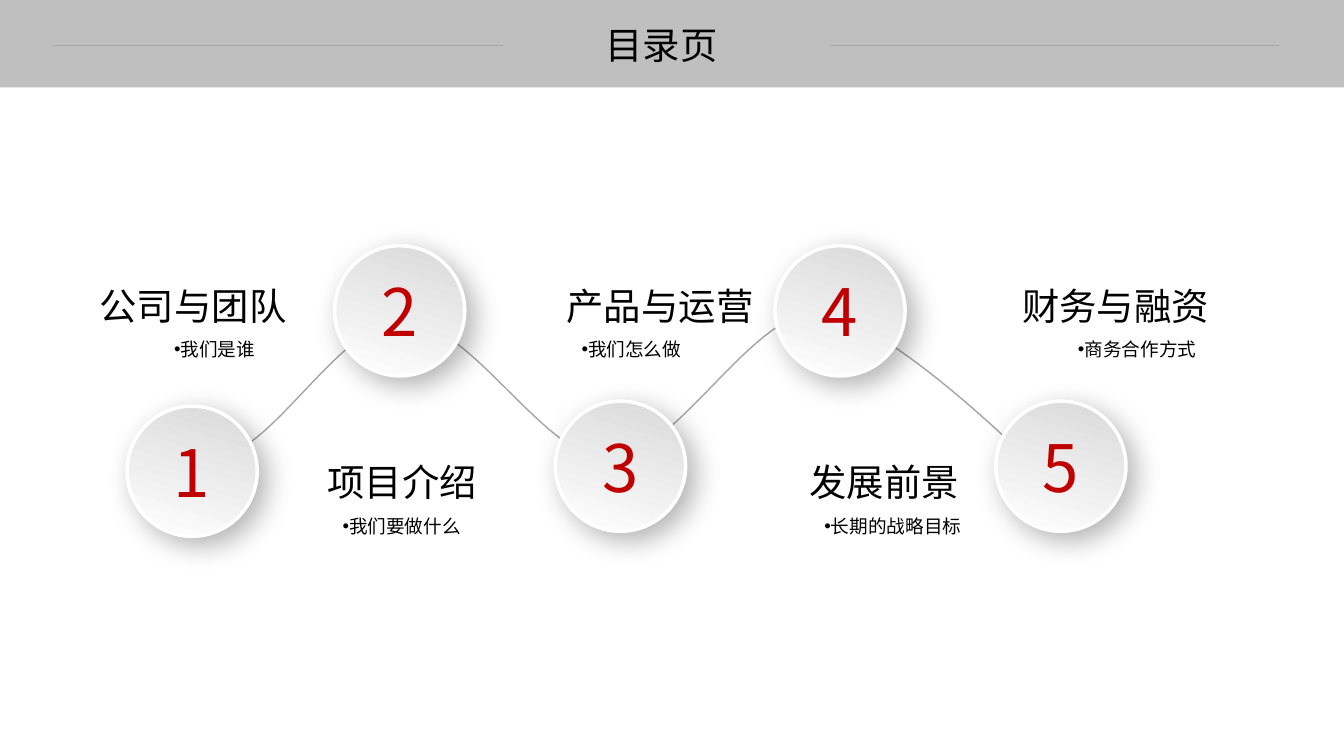
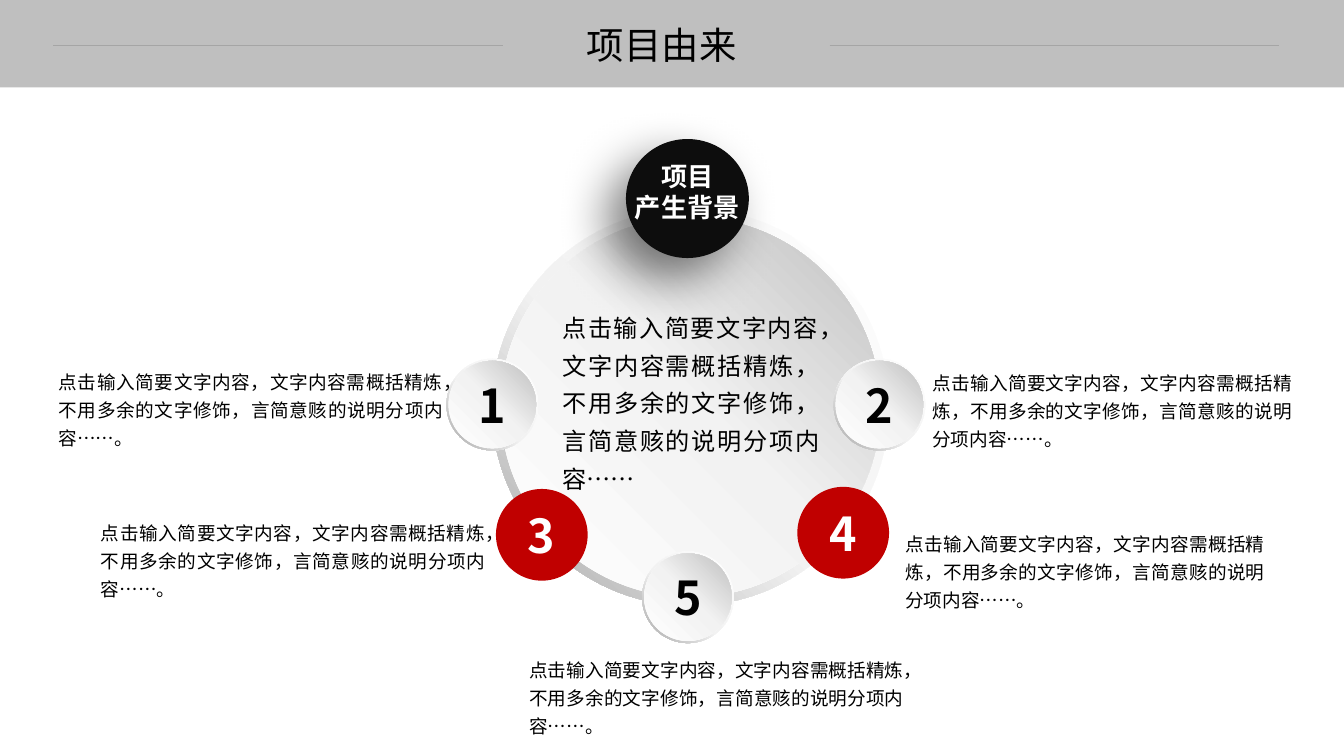
from dataclasses import dataclass
from typing import Any, Optional

from lxml.etree import SubElement
from pptx import Presentation
from pptx.dml.color import RGBColor
from pptx.enum.shapes import MSO_CONNECTOR, MSO_SHAPE
from pptx.enum.text import MSO_ANCHOR, PP_ALIGN
from pptx.oxml.ns import qn
from pptx.util import Pt

FONT = "Noto Sans CJK SC"
BLACK, WHITE, RED, GREY, BAND, INK = "000000", "FFFFFF", "C00000", "A5A5A5", "BFBFBF", "0D0D0D"
SLIDE_W, SLIDE_H, BAND_H = 960, 540, 62.5
RULE_Y, RULE_W = 32.4, 321
TITLE_SIZE, BODY_SIZE = 26.7, 13.3


@dataclass(frozen=True)
class Gradient:
    stops: tuple[tuple[int, str], ...]
    angle: float  # clockwise degrees


@dataclass(frozen=True)
class Shadow:
    opacity: int
    blur: float
    dist: float
    angle: int


@dataclass(frozen=True)
class DiscStyle:
    rim: Gradient | str
    face: Gradient | str
    text: str


@dataclass(frozen=True)
class Chapter:
    number: str
    cx: float
    cy: float
    x: float
    y: float
    heading: str
    detail: str
    align: PP_ALIGN


@dataclass(frozen=True)
class Disc:
    number: str
    cx: float
    cy: float
    style: DiscStyle


KNOB = Gradient(((0, "D9D9D9"), (100, WHITE)), 107)
KNOB_SHADOW = Shadow(30, 20, 8, 45)
BADGE_SHADOW = Shadow(50, 35, 20, 135)
SILVER = DiscStyle(Gradient(((0, WHITE), (55, "F2F2F2"), (100, "A6A6A6")), 135),
                   Gradient(((0, WHITE), (51, "F2F2F2"), (100, "BFBFBF")), 315), BLACK)
CRIMSON = DiscStyle(RED, RED, WHITE)

KNOB_D = 93
CHAPTERS = (
    Chapter("1", 137.2, 336.6, 64, 198, "公司与团队", "我们是谁", PP_ALIGN.CENTER),
    Chapter("2", 285.5, 222, 226.8, 324, "项目介绍", "我们要做什么", PP_ALIGN.LEFT),
    Chapter("3", 443.2, 333, 397.5, 198, "产品与运营", "我们怎么做", PP_ALIGN.LEFT),
    Chapter("4", 600, 222, 571, 324, "发展前景", "长期的战略目标", PP_ALIGN.LEFT),
    Chapter("5", 757.8, 333, 723, 198, "财务与融资", "商务合作方式", PP_ALIGN.CENTER),
)
# Cubic curves: start, then two handles and an end for each arc
WAVE_START = (150.5, 327.6)
WAVE = (
    ((193.7, 327.6), (241.9, 229), (288.7, 229)),
    ((336.2, 229), (388.8, 327.6), (434.9, 328.3)),
    ((482.4, 326.2), (535.7, 224.6), (582.5, 223.2)),
    ((627.8, 223.2), (727.2, 321.8), (727.2, 321.1)),
)
WAVE_STEPS = 24

DISC_D, DISC_FACE = 65.5, 62.6
DISCS = (
    Disc("1", 351.7, 289, SILVER),
    Disc("2", 628.2, 289, SILVER),
    Disc("3", 387, 382, CRIMSON),
    Disc("4", 602.3, 380.5, CRIMSON),
    Disc("5", 491.4, 426.6, SILVER),
)
SUMMARY = "点击输入简要文字内容，文字内容需概括精炼，不用多余的文字修饰，言简意赅的说明分项内容……"
NOTES = ((41.8, 260.6, 275), (666, 261.4, 257), (72, 368.6, 275),
         (646.6, 376.6, 257), (378, 466.6, 267.8))  # left, top, width


def rgb(color: str) -> RGBColor:
    return RGBColor.from_string(color)


def paint(sp: Any, fill: Gradient | str) -> None:
    if isinstance(fill, str):
        sp.fill.solid()
        sp.fill.fore_color.rgb = rgb(fill)
        return
    sp.fill.gradient()
    sp.fill.gradient_angle = (360 - fill.angle) % 360
    stops = next(sp._element.spPr.iter(qn("a:gsLst")))
    for old in list(stops):
        stops.remove(old)
    for pos, color in fill.stops:
        gs = SubElement(stops, qn("a:gs"), pos=str(pos * 1000))
        SubElement(gs, qn("a:srgbClr"), val=color)


def add_shadow(sp: Any, shadow: Shadow) -> None:
    effects = sp._element.spPr.find(qn("a:effectLst"))
    outer = SubElement(effects, qn("a:outerShdw"), blurRad=str(Pt(shadow.blur)),
                       dist=str(Pt(shadow.dist)), dir=str(shadow.angle * 60000),
                       algn="ctr", rotWithShape="0")
    color = SubElement(outer, qn("a:srgbClr"), val=BLACK)
    SubElement(color, qn("a:alpha"), val=str(shadow.opacity * 1000))


def add_round(s: Any, kind: MSO_SHAPE, cx: float, cy: float, w: float, h: float,
              fill: Gradient | str) -> Any:
    sp = s.shapes.add_shape(kind, Pt(cx - w / 2), Pt(cy - h / 2), Pt(w), Pt(h))
    sp.shadow.inherit = False
    sp.line.fill.background()
    paint(sp, fill)
    return sp


def write(sp: Any, lines: tuple[str, ...], size: float, color: str = BLACK, bold: bool = False,
          align: PP_ALIGN = PP_ALIGN.CENTER, spacing: Any = None, inset: Optional[float] = None,
          anchor: MSO_ANCHOR = MSO_ANCHOR.MIDDLE, wrap: bool = True, bullet: bool = False) -> None:
    tf = sp.text_frame
    tf.word_wrap, tf.vertical_anchor = wrap, anchor
    if inset is not None:
        tf.margin_left = tf.margin_right = tf.margin_top = tf.margin_bottom = Pt(inset)
    for i, line in enumerate(lines):
        p = tf.add_paragraph() if i else tf.paragraphs[0]
        p.alignment = align
        if spacing is not None:
            p.line_spacing = spacing
        if bullet:
            pPr = p._p.get_or_add_pPr()
            pPr.set("marL", "0")
            pPr.set("indent", "0")
            SubElement(pPr, qn("a:buFont"), typeface="Arial")
            SubElement(pPr, qn("a:buChar"), char="•")
        r = p.add_run()
        r.text = line
        r.font.size, r.font.bold = Pt(size), bold
        r.font.color.rgb = rgb(color)
        r.font.name = FONT
        SubElement(r._r.get_or_add_rPr(), qn("a:ea"), typeface=FONT)


def add_text(s: Any, x: float, y: float, w: float, h: float, text: str, size: float,
             **style: Any) -> None:
    sp = s.shapes.add_textbox(Pt(x), Pt(y), Pt(w), Pt(h))
    write(sp, (text,), size, **style)


def dress_layout(layout: Any, s: Any) -> None:
    """Give the layout the title band and the two rules beside the title."""
    for ph in list(layout.placeholders):
        if ph.placeholder_format.idx != 0:
            ph.element.getparent().remove(ph.element)
    band = s.shapes.add_shape(MSO_SHAPE.RECTANGLE, 0, 0, Pt(SLIDE_W), Pt(BAND_H))
    band.shadow.inherit = False
    band.line.fill.background()
    paint(band, BAND)
    parts = [band]
    for x in (38.2, 592.6):
        rule = s.shapes.add_connector(MSO_CONNECTOR.STRAIGHT, Pt(x), Pt(RULE_Y),
                                      Pt(x + RULE_W), Pt(RULE_Y))
        rule.line.color.rgb, rule.line.width = rgb(GREY), Pt(0.75)
        SubElement(rule._element.spPr, qn("a:effectLst"))
        parts.append(rule)
    for i, part in enumerate(parts):
        layout.shapes.element.insert(2 + i, part.element)


def add_slide(prs: Any, layout: Any, title: str) -> Any:
    s = prs.slides.add_slide(layout)
    sp = s.shapes.title
    sp.left, sp.top, sp.width, sp.height = Pt(389.5), Pt(11.5), Pt(166.3), Pt(40)
    write(sp, (title,), TITLE_SIZE)
    return s


def add_wave(s: Any) -> None:
    points, start = [], WAVE_START
    for a, b, end in WAVE:
        for k in range(1, WAVE_STEPS + 1):
            t = k / WAVE_STEPS
            u = 1 - t
            points.append(tuple(
                Pt(u**3 * p0 + 3 * u * u * t * p1 + 3 * u * t * t * p2 + t**3 * p3)
                for p0, p1, p2, p3 in zip(start, a, b, end)))
        start = end
    builder = s.shapes.build_freeform(Pt(WAVE_START[0]), Pt(WAVE_START[1]))
    builder.add_line_segments(points, close=False)
    sp = builder.convert_to_shape()
    sp.shadow.inherit = False
    sp.fill.background()
    sp.line.color.rgb, sp.line.width = rgb(GREY), Pt(1)


def add_chapter(s: Any, ch: Chapter) -> None:
    sp = add_round(s, MSO_SHAPE.OVAL, ch.cx, ch.cy, KNOB_D, KNOB_D, KNOB)
    sp.line.color.rgb, sp.line.width = rgb(WHITE), Pt(2.5)
    add_shadow(sp, KNOB_SHADOW)
    write(sp, (ch.number,), 46.7, RED, inset=0)
    add_text(s, ch.x, ch.y, 158, 40, ch.heading, TITLE_SIZE, align=PP_ALIGN.LEFT)
    add_text(s, ch.x + 10.8, ch.y + 33, 157, 29, ch.detail, BODY_SIZE,
             align=ch.align, spacing=1.5, bullet=True)


def add_disc(s: Any, cx: float, cy: float, outer: float, face: float, style: DiscStyle) -> Any:
    rim = add_round(s, MSO_SHAPE.DONUT, cx, cy, outer, outer, style.rim)
    rim.adjustments[0] = 0.05
    return add_round(s, MSO_SHAPE.OVAL, cx, cy, face, face, style.face)


def contents_slide(s: Any) -> None:
    add_wave(s)
    for ch in CHAPTERS:
        add_chapter(s, ch)


def origin_slide(s: Any) -> None:
    # Large dial with its badge
    add_disc(s, 493.2, 290.9, 283.7, 271.4, SILVER)
    badge = add_round(s, MSO_SHAPE.OVAL, 491, 141.8, 87.8, 85, INK)
    add_shadow(badge, BADGE_SHADOW)
    write(badge, ("项目", "产生背景"), 18.7, WHITE, bold=True, spacing=Pt(22), inset=0, wrap=False)
    badge.text_frame.margin_bottom = Pt(9)
    # Numbered discs around it
    for d in DISCS:
        face = add_disc(s, d.cx, d.cy, DISC_D, DISC_FACE, d.style)
        write(face, (d.number,), 33.3, d.style.text, bold=True, inset=0)
    # Summary and notes
    prose = dict(align=PP_ALIGN.JUSTIFY, inset=0, anchor=MSO_ANCHOR.TOP)
    add_text(s, 401.8, 217.4, 183.6, 136.8, SUMMARY, 17.3, spacing=Pt(27), **prose)
    for x, y, w in NOTES:
        add_text(s, x, y, w, 60.5, SUMMARY + "。", BODY_SIZE, spacing=Pt(20), **prose)


def main() -> None:
    prs = Presentation()
    prs.slide_width, prs.slide_height = Pt(SLIDE_W), Pt(SLIDE_H)
    layout = prs.slide_layouts[5]
    s = add_slide(prs, layout, "目录页")
    dress_layout(layout, s)
    contents_slide(s)
    origin_slide(add_slide(prs, layout, "项目由来"))
    prs.save("out.pptx")


if __name__ == "__main__":
    main()
